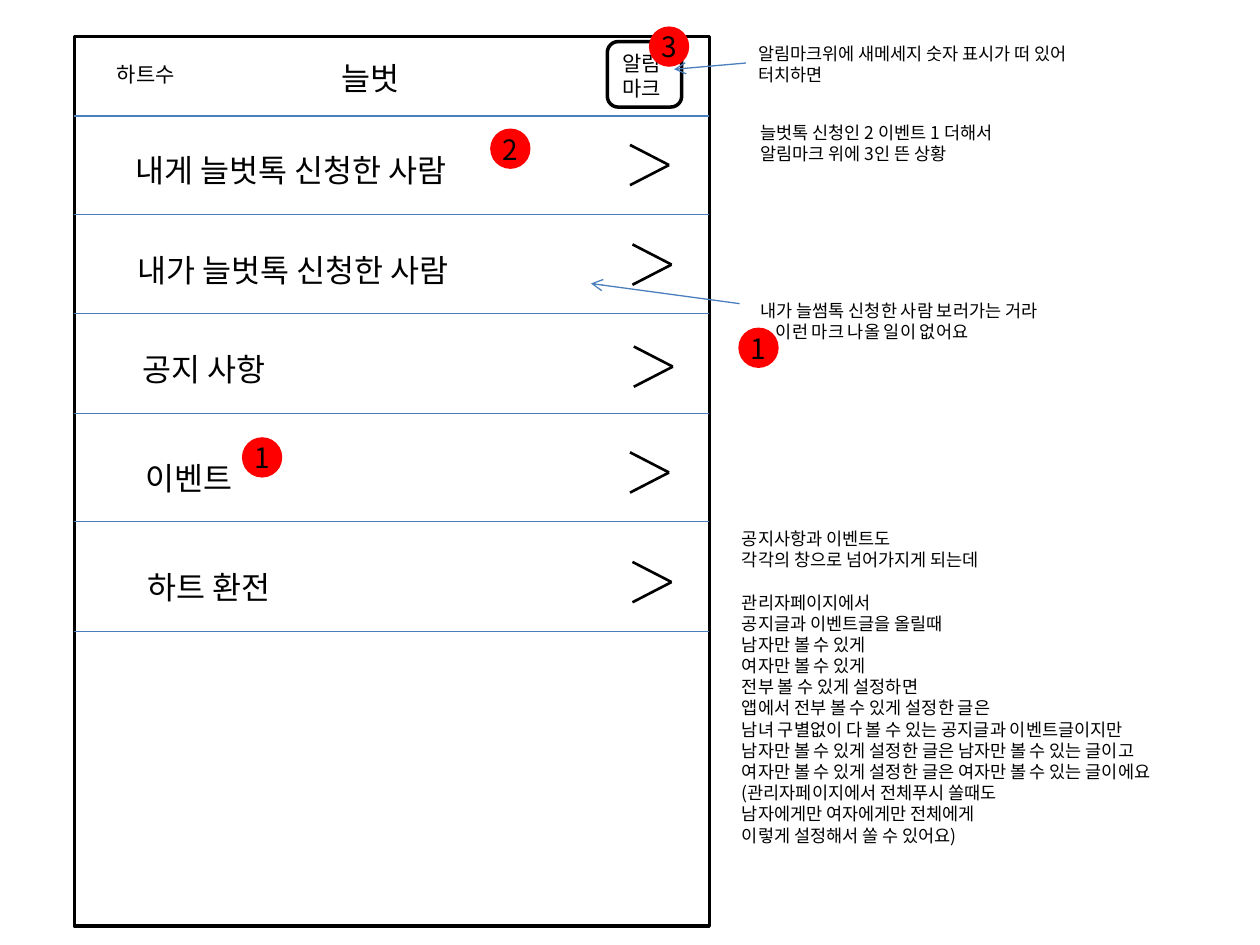
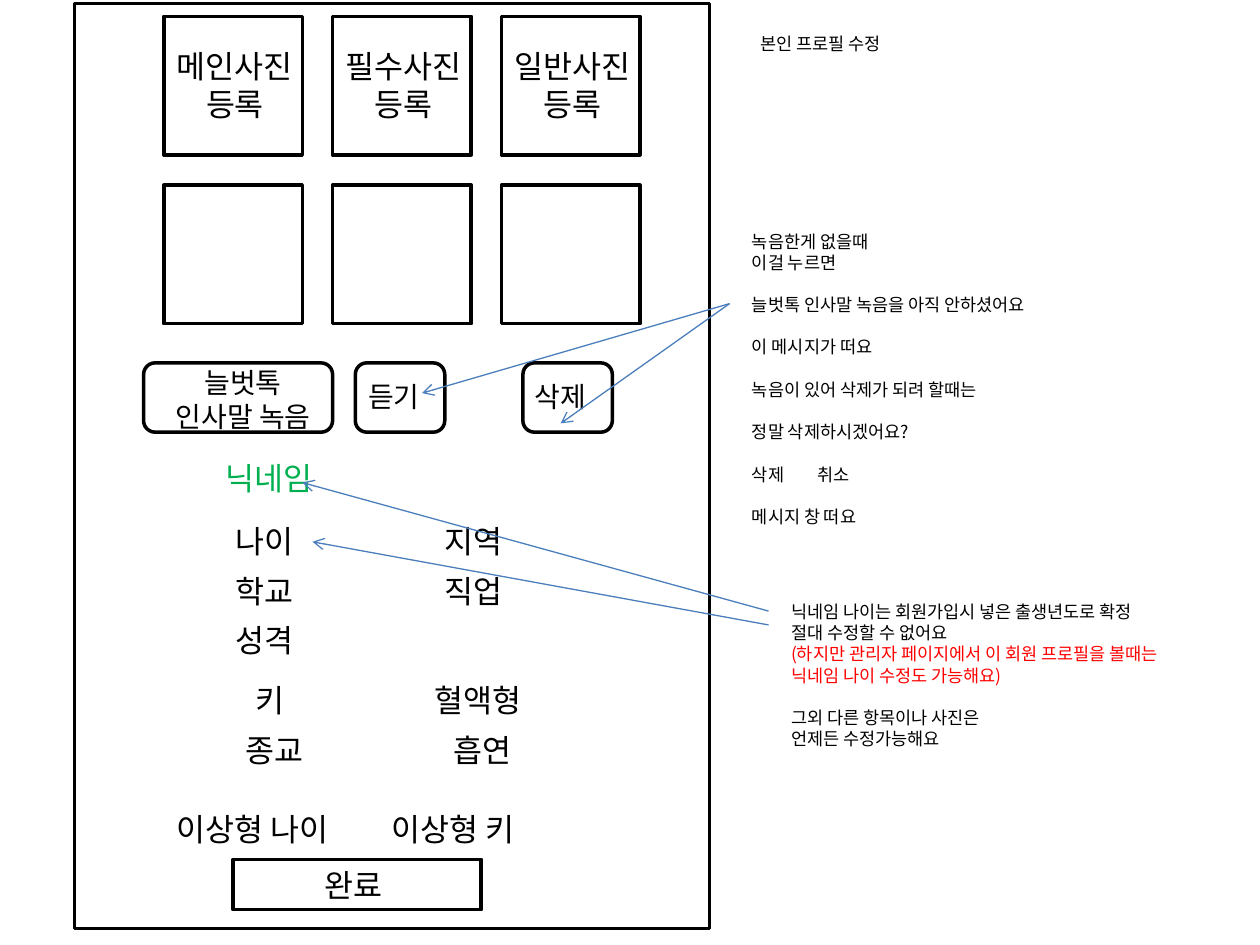
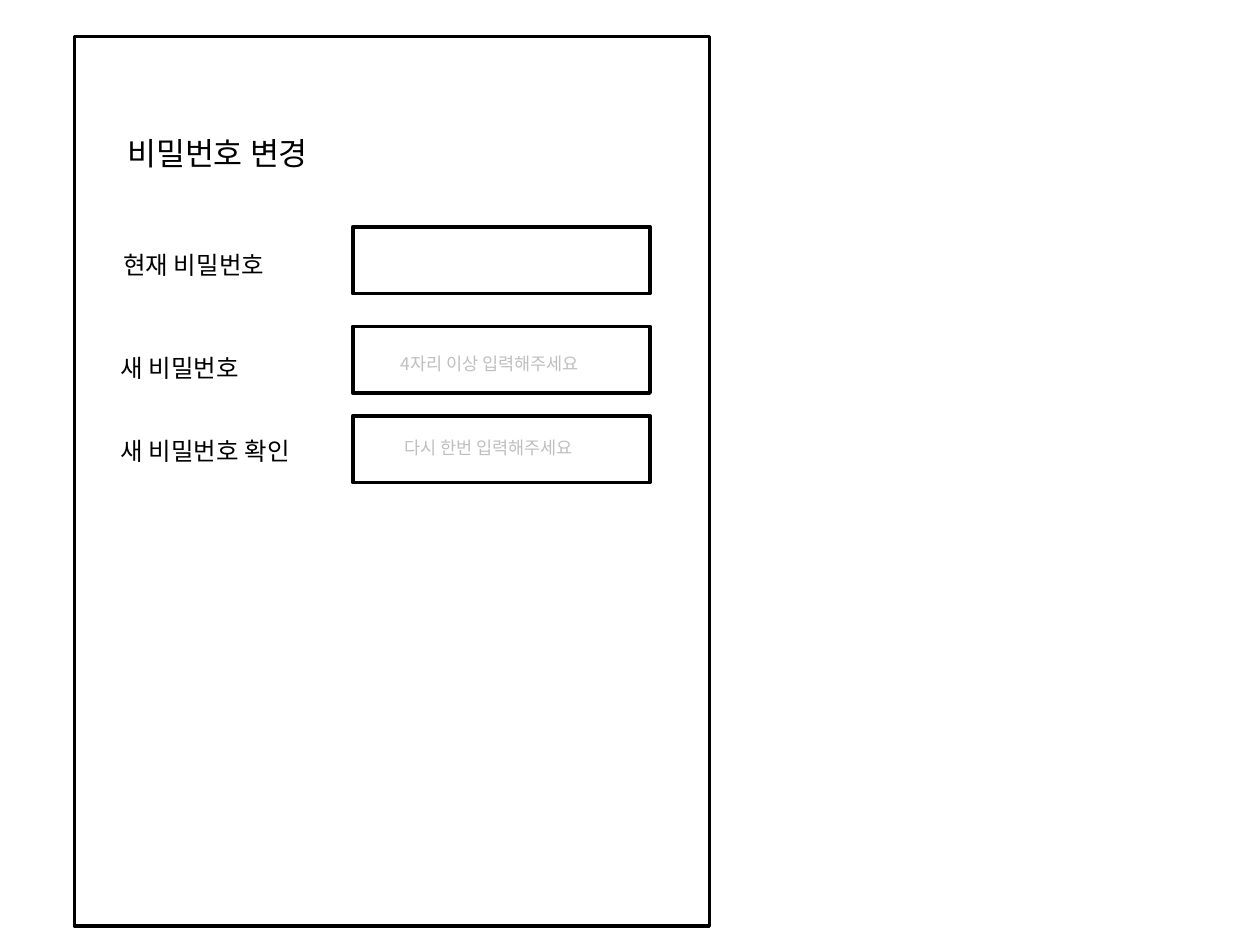
from pptx import Presentation
from pptx.dml.color import RGBColor
from pptx.enum.shapes import MSO_CONNECTOR, MSO_SHAPE
from pptx.enum.text import MSO_ANCHOR, PP_ALIGN
from pptx.oxml.ns import qn
from pptx.util import Inches, Pt
from lxml.etree import SubElement

FONT = "Noto Sans CJK KR"
BLACK = RGBColor(0x00, 0x00, 0x00)
RED = RGBColor(0xFF, 0x00, 0x00)
GREEN = RGBColor(0x00, 0xB0, 0x50)
GREY = RGBColor(0xBF, 0xBF, 0xBF)
BLUE = RGBColor(0x4B, 0x7E, 0xBC)
LINE_PITCH = 1.21
FRAME_LEFT, FRAME_WIDTH = 0.59, 5.04
NOTE_SIZE, LABEL_SIZE, BUTTON_SIZE, FIELD_SIZE, SMALL_SIZE = 10, 18, 16, 14, 12

# Menu screen: (text, text left, text top, chevron left, chevron top)
MENU_ROWS = [
    ("내게 늘벗톡 신청한 사람", 0.98, 1.15, 5.00, 1.15),
    ("내가 늘벗톡 신청한 사람", 0.99, 1.94, 5.02, 1.94),
    ("공지 사항", 1.03, 2.73, 5.03, 2.75),
    ("이벤트", 1.06, 3.59, 5.00, 3.59),
    ("하트 환전", 1.07, 4.46, 5.02, 4.46),
]
MENU_DIVIDERS = [0.92, 1.70, 2.49, 3.28, 4.14, 5.01]
BADGES = [("3", 5.15, 0.21), ("2", 3.89, 1.02), ("1", 1.92, 3.47), ("1", 5.86, 2.60)]
MENU_ARROWS = [(5.92, 0.50, 5.35, 0.55), (5.87, 2.41, 4.69, 2.25)]

# Notes: (left, top, width, height, blocks of lines); a blank line's gap parts the blocks
MENU_NOTES = [
    (5.92, 0.29, 2.97, 0.44, [["알림마크위에 새메세지 숫자 표시가 떠 있어", "터치하면"]]),
    (5.94, 0.92, 2.28, 0.44, [["늘벗톡 신청인 2 이벤트 1 더해서", "알림마크 위에 3인 뜬 상황"]]),
    (5.79, 4.14, 3.92, 2.63, [
        ["공지사항과 이벤트도", "각각의 창으로 넘어가지게 되는데"],
        ["관리자페이지에서", "공지글과 이벤트글을 올릴때", "남자만 볼 수 있게",
         "여자만 볼 수 있게", "전부 볼 수 있게 설정하면",
         "앱에서 전부 볼 수 있게 설정한 글은",
         "남녀 구별없이 다 볼 수 있는 공지글과 이벤트글이지만",
         "남자만 볼 수 있게 설정한 글은 남자만 볼 수 있는 글이고",
         "여자만 볼 수 있게 설정한 글은 여자만 볼 수 있는 글이에요",
         "(관리자페이지에서 전체푸시 쏠때도",
         "남자에게만 여자에게만 전체에게", "이렇게 설정해서 쏠 수 있어요)"],
    ]),
]
MARK_NOTE = [["내가 늘썸톡 신청한 사람 보러가는 거라", "이런 마크 나올 일이 없어요"]]

# Profile screen
PHOTO_LABELS = ["메인사진", "필수사진", "일반사진"]
PHOTO_LEFT, PHOTO_TOP, PHOTO_SIZE, PHOTO_STEP = 1.30, 0.13, 1.10, 1.34
# (button left, width, text left, text top, text width, lines)
VOICE_BUTTONS = [
    (1.14, 1.50, 1.23, 2.85, 1.40, ["늘벗톡", "인사말 녹음"]),
    (2.82, 0.71, 2.80, 2.96, 0.65, ["듣기"]),
    (4.15, 0.71, 4.12, 2.96, 0.65, ["삭제"]),
]
PROFILE_FIELDS = [
    ("나이", 1.77, 4.09), ("지역", 3.43, 4.09),
    ("학교", 1.77, 4.49), ("직업", 3.43, 4.49),
    ("성격", 1.77, 4.88),
    ("키", 1.93, 5.35), ("혈액형", 3.35, 5.35),
    ("종교", 1.85, 5.75), ("흡연", 3.50, 5.75),
    ("이상형 나이", 1.30, 6.38), ("이상형 키", 3.01, 6.38),
    ("완료", 2.48, 6.82),
]
PROFILE_ARROWS = [(6.10, 4.96, 2.48, 4.30), (5.79, 2.41, 3.35, 3.12),
                  (5.79, 2.41, 4.45, 3.36), (6.10, 4.85, 2.40, 3.83)]
PROFILE_NOTES = [
    (5.94, 0.21, 1.28, 0.27, [["본인 프로필 수정"]]),
    (5.87, 1.78, 2.64, 2.46, [
        ["녹음한게 없을때", "이걸 누르면"], ["늘벗톡 인사말 녹음을 아직 안하셨어요"],
        ["이 메시지가 떠요"], ["녹음이 있어 삭제가 되려 할때는"],
        ["정말 삭제하시겠어요?"], ["삭제\t취소"], ["메시지 창 떠요"],
    ]),
    (6.18, 4.72, 3.48, 1.28, [
        ["닉네임 나이는 회원가입시 넣은 출생년도로 확정", "절대 수정할 수 없어요",
         ("(하지만 관리자 페이지에서 이 회원 프로필을 볼때는", RED),
         ("닉네임 나이 수정도 가능해요)", RED)],
        ["그외 다른 항목이나 사진은", "언제든 수정가능해요"],
    ]),
]

# Password screen: (text, left, top, size, colour)
PASSWORD_TEXTS = [
    ("비밀번호 변경", 0.91, 1.01, LABEL_SIZE, BLACK),
    ("현재 비밀번호", 0.88, 1.93, FIELD_SIZE, BLACK),
    ("새 비밀번호", 0.86, 2.75, FIELD_SIZE, BLACK),
    ("새 비밀번호 확인", 0.86, 3.41, FIELD_SIZE, BLACK),
    ("4자리 이상 입력해주세요", 3.08, 2.75, NOTE_SIZE, GREY),
    ("다시 한번 입력해주세요", 3.11, 3.42, NOTE_SIZE, GREY),
]
PASSWORD_BOX_TOPS = [1.80, 2.59, 3.30]


def add_run(paragraph, text, size, colour):
    run = paragraph.add_run()
    run.text = text
    run.font.name = FONT
    run.font.size = Pt(size)
    run.font.color.rgb = colour
    SubElement(run.font._element, qn("a:ea")).set("typeface", FONT)


def add_text(slide, left, top, width, height, blocks, size, colour=BLACK,
             align=PP_ALIGN.LEFT):
    box = slide.shapes.add_textbox(Inches(left), Inches(top), Inches(width), Inches(height))
    frame = box.text_frame
    frame.word_wrap = True
    lines = [(line, number > 0 and index == 0)
             for number, block in enumerate(blocks) for index, line in enumerate(block)]
    for position, (line, opens_block) in enumerate(lines):
        paragraph = frame.add_paragraph() if position else frame.paragraphs[0]
        text, line_colour = line if isinstance(line, tuple) else (line, colour)
        paragraph.alignment = align
        paragraph.line_spacing = Pt(size * LINE_PITCH)
        if opens_block:
            paragraph.space_before = Pt(size * LINE_PITCH)
        if "\t" in text:
            tabs = SubElement(paragraph._p.get_or_add_pPr(), qn("a:tabLst"))
            SubElement(tabs, qn("a:tab"), pos=str(Inches(0.52)), algn="l")
        add_run(paragraph, text, size, line_colour)
    return box


def add_label(slide, text, left, top, size=LABEL_SIZE, colour=BLACK):
    width = 0.3 + len(text) * size / 72
    return add_text(slide, left, top, width, 0.1 + size / 60, [[text]], size, colour)


def add_notes(slide, notes):
    for left, top, width, height, blocks in notes:
        add_text(slide, left, top, width, height, blocks, NOTE_SIZE)


def add_outline(slide, left, top, width, height, kind=MSO_SHAPE.RECTANGLE):
    shape = slide.shapes.add_shape(kind, Inches(left), Inches(top),
                                   Inches(width), Inches(height))
    shape.shadow.inherit = False
    shape.fill.background()
    shape.line.color.rgb = BLACK
    shape.line.width = Pt(2)
    return shape


def add_line(slide, x1, y1, x2, y2, colour=BLUE, weight=0.75, arrow=False):
    line = slide.shapes.add_connector(MSO_CONNECTOR.STRAIGHT, Inches(x1), Inches(y1),
                                      Inches(x2), Inches(y2))
    line.line.color.rgb = colour
    line.line.width = Pt(weight)
    if arrow:
        SubElement(line.line._get_or_add_ln(), qn("a:tailEnd")).set("type", "arrow")
    SubElement(line._element.spPr, qn("a:effectLst"))


def add_arrows(slide, arrows):
    for ends in arrows:
        add_line(slide, *ends, arrow=True)


def add_chevron(slide, left, top):
    for start in (top, top + 0.32):
        add_line(slide, left, start, left + 0.31, top + 0.16, BLACK, 1.5)


def add_badge(slide, number, left, top):
    badge = add_outline(slide, left, top, 0.32, 0.32, MSO_SHAPE.OVAL)
    badge.fill.solid()
    badge.fill.fore_color.rgb = RED
    badge.line.fill.background()
    frame = badge.text_frame
    frame.margin_left = frame.margin_right = frame.margin_top = frame.margin_bottom = 0
    frame.vertical_anchor = MSO_ANCHOR.MIDDLE
    frame.word_wrap = False
    paragraph = frame.paragraphs[0]
    paragraph.alignment = PP_ALIGN.CENTER
    paragraph.line_spacing = Pt(BUTTON_SIZE * LINE_PITCH)
    add_run(paragraph, number, BUTTON_SIZE, BLACK)


def add_screen(presentation, top=0.29, height=7.06):
    slide = presentation.slides.add_slide(presentation.slide_layouts[6])
    add_outline(slide, FRAME_LEFT, top, FRAME_WIDTH, height)
    return slide


def build_menu(presentation):
    slide = add_screen(presentation)
    # Header
    add_label(slide, "하트수", 0.83, 0.44, SMALL_SIZE)
    add_label(slide, "늘벗", 2.61, 0.42)
    add_text(slide, 4.84, 0.35, 0.58, 0.50, [["알림", "마크"]], SMALL_SIZE)
    add_outline(slide, 4.82, 0.33, 0.59, 0.52, MSO_SHAPE.ROUNDED_RECTANGLE)
    # Rows
    for top in MENU_DIVIDERS:
        add_line(slide, FRAME_LEFT, top, FRAME_LEFT + FRAME_WIDTH, top)
    for text, left, top, chevron_left, chevron_top in MENU_ROWS:
        add_label(slide, text, left, top)
        add_chevron(slide, chevron_left, chevron_top)
    # Badges and remarks
    for badge in BADGES:
        add_badge(slide, *badge)
    add_arrows(slide, MENU_ARROWS)
    add_notes(slide, MENU_NOTES)
    mark_note = add_text(slide, 5.94, 2.33, 2.69, 0.44, MARK_NOTE, NOTE_SIZE)
    indented = mark_note.text_frame.paragraphs[1]._p.get_or_add_pPr()
    indented.set("marL", str(Inches(0.12)))


def build_profile(presentation):
    slide = add_screen(presentation, 0.03, 7.34)
    # Photo grid
    for column, label in enumerate(PHOTO_LABELS):
        left = PHOTO_LEFT + column * PHOTO_STEP
        for row in range(2):
            add_outline(slide, left, PHOTO_TOP + row * PHOTO_STEP, PHOTO_SIZE, PHOTO_SIZE)
        add_text(slide, left - 0.04, 0.32, 1.21, 0.71, [[label, "등록"]], LABEL_SIZE,
                 align=PP_ALIGN.CENTER)
    # Voice greeting buttons
    for left, width, text_left, text_top, text_width, lines in VOICE_BUTTONS:
        add_outline(slide, left, 2.88, width, 0.55, MSO_SHAPE.ROUNDED_RECTANGLE)
        add_text(slide, text_left, text_top, text_width, 0.1 + 0.27 * len(lines), [lines],
                 BUTTON_SIZE, align=PP_ALIGN.CENTER)
    # Fields and the finish button
    add_outline(slide, 1.85, 6.82, 1.97, 0.40)
    add_label(slide, "닉네임", 1.69, 3.59, colour=GREEN)
    for field in PROFILE_FIELDS:
        add_label(slide, *field)
    add_arrows(slide, PROFILE_ARROWS)
    add_notes(slide, PROFILE_NOTES)


def build_password(presentation):
    slide = add_screen(presentation)
    for top in PASSWORD_BOX_TOPS:
        add_outline(slide, 2.80, top, 2.36, 0.53)
    for label in PASSWORD_TEXTS:
        add_label(slide, *label)


def main():
    presentation = Presentation()
    presentation.slide_width = Inches(10)
    presentation.slide_height = Inches(7.5)
    build_menu(presentation)
    build_profile(presentation)
    build_password(presentation)
    presentation.save("out.pptx")


if __name__ == "__main__":
    main()
